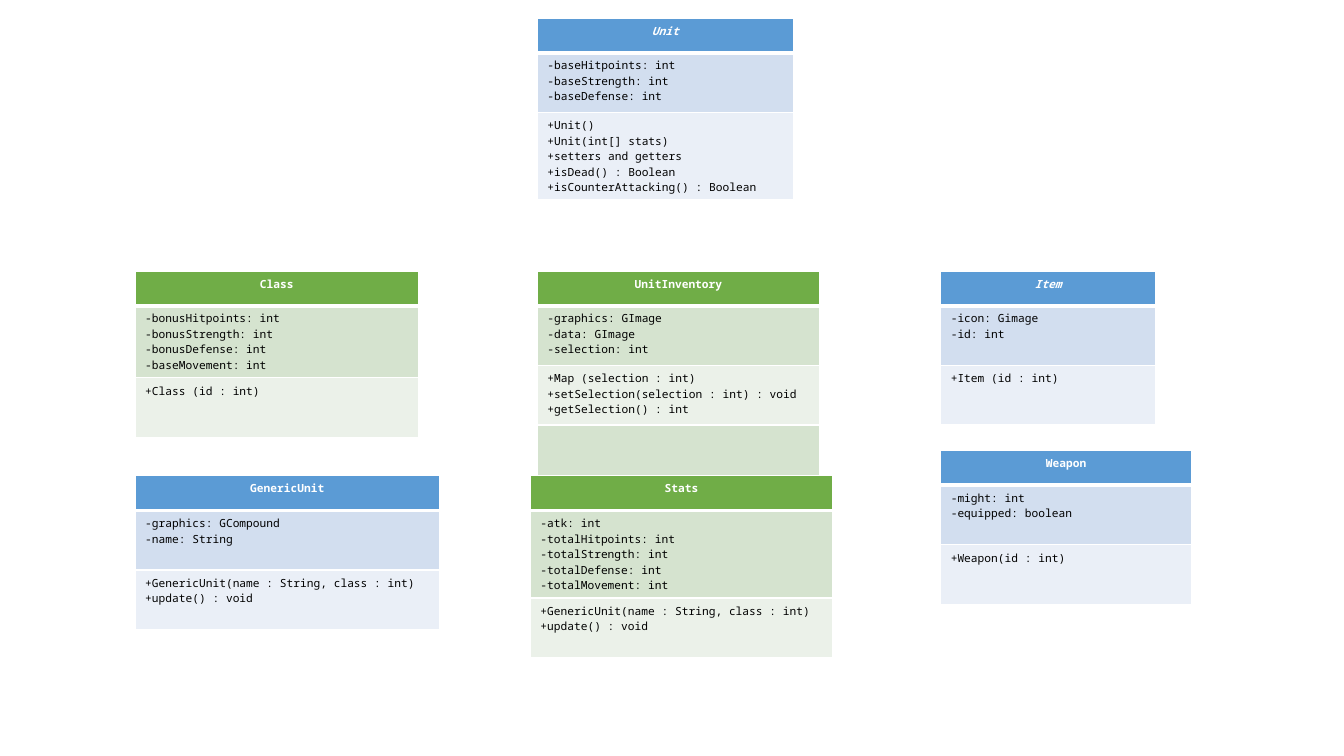
from dataclasses import dataclass

from lxml.etree import SubElement
from pptx import Presentation
from pptx.dml.color import RGBColor as RGB
from pptx.enum.text import PP_ALIGN as Align
from pptx.oxml.ns import qn
from pptx.util import Inches, Pt

# name, abstract, palette, column, row, width, compartments
CLASSES = [
    ("Unit", True, "blue", "middle", "top", 2.54, [
        ["-baseHitpoints: int", "-baseStrength: int", "-baseDefense: int"],
        ["+Unit()", "+Unit(int[] stats)", "+setters and getters",
         "+isDead() : Boolean", "+isCounterAttacking() : Boolean"]]),
    ("Class", False, "green", "left", "centre", 2.81, [
        ["-bonusHitpoints: int", "-bonusStrength: int",
         "-bonusDefense: int", "-baseMovement: int"],
        ["+Class (id : int)"]]),
    ("UnitInventory", False, "green", "middle", "centre", 2.8, [
        ["-graphics: GImage", "-data: GImage", "-selection: int"],
        ["+Map (selection : int)", "+setSelection(selection : int) : void",
         "+getSelection() : int"],
        []]),
    ("GenericUnit", False, "blue", "left", "bottom", 3.02, [
        ["-graphics: GCompound", "-name: String"],
        ["+GenericUnit(name : String, class : int)", "+update() : void"]]),
    ("Item", True, "blue", "right", "centre", 2.13, [
        ["-icon: Gimage", "-id: int"],
        ["+Item (id : int)"]]),
    ("Weapon", False, "blue", "right", "weapon", 2.49, [
        ["-might: int", "-equipped: boolean"],
        ["+Weapon(id : int)"]]),
    ("Stats", False, "green", "stats", "bottom", 3, [
        ["-atk: int", "-totalHitpoints: int", "-totalStrength: int",
         "-totalDefense: int", "-totalMovement: int"],
        ["+GenericUnit(name : String, class : int)", "+update() : void"]]),
]

# Grid lines in inches, row heights in points
COLUMNS = {"left": 1.34, "stats": 5.26, "middle": 5.33, "right": 9.33}
ROWS = {"top": 0.18, "centre": 2.69, "weapon": 4.47, "bottom": 4.72}
HEADER_H, BODY_H = Pt(24.8), Pt(42.6)


@dataclass(frozen=True)
class Theme:
    font: str = "Noto Sans Mono"
    size: int = 8
    text: str = "000000"
    light: str = "FFFFFF"
    blue: tuple = ("5B9BD5", "D2DEEF", "EAEFF7")
    green: tuple = ("70AD47", "D5E3CF", "EBF1E9")


THEME = Theme()


def set_borders(cell, top, bottom):
    """Draw the cell's edges; top and bottom are widths in points."""
    tc_pr = cell._tc.get_or_add_tcPr()
    for side, width in (("L", 1), ("R", 1), ("T", top), ("B", bottom)):
        ln = SubElement(tc_pr, qn(f"a:ln{side}"), w=str(Pt(width)))
        fill = SubElement(ln, qn("a:solidFill"))
        SubElement(fill, qn("a:srgbClr"), val=THEME.light)


def fill_cell(cell, lines, color, header=False, italic=False):
    cell.fill.solid()
    cell.fill.fore_color.rgb = RGB.from_string(color)
    tf = cell.text_frame
    for i, line in enumerate(lines):
        p = tf.add_paragraph() if i else tf.paragraphs[0]
        p.alignment = Align.CENTER if header else Align.LEFT
        r = p.add_run()
        r.text = line
        r.font.name, r.font.size = THEME.font, Pt(THEME.size)
        r.font.bold, r.font.italic = header, italic
        r.font.color.rgb = RGB.from_string(THEME.light if header else THEME.text)


def add_class(slide, name, abstract, palette, column, row, width, parts):
    header, *bands = getattr(THEME, palette)
    table = slide.shapes.add_table(
        len(parts) + 1, 1, Inches(COLUMNS[column]), Inches(ROWS[row]),
        Inches(width), HEADER_H + BODY_H * len(parts)).table
    for i, lines in enumerate([[name], *parts]):
        table.rows[i].height = BODY_H if i else HEADER_H
        cell = table.cell(i, 0)
        set_borders(cell, 3 if i == 1 else 1, 1 if i else 3)
        color = bands[(i - 1) % 2] if i else header
        fill_cell(cell, lines, color, i == 0, abstract and i == 0)


def main():
    prs = Presentation()
    prs.slide_width, prs.slide_height = Inches(13.33), Inches(7.5)
    slide = prs.slides.add_slide(prs.slide_layouts[6])
    for entry in CLASSES:
        add_class(slide, *entry)
    prs.save("out.pptx")


if __name__ == "__main__":
    main()
